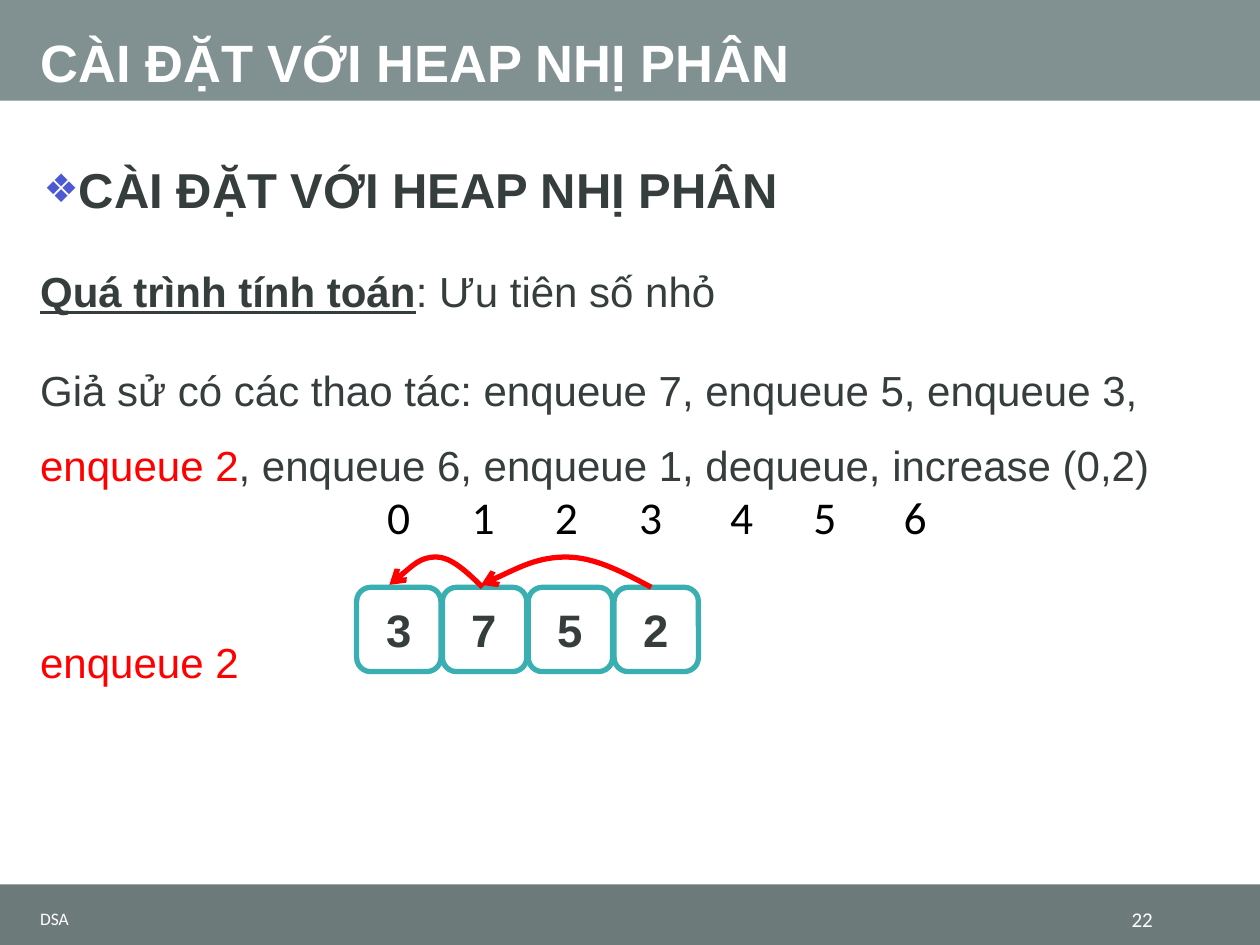
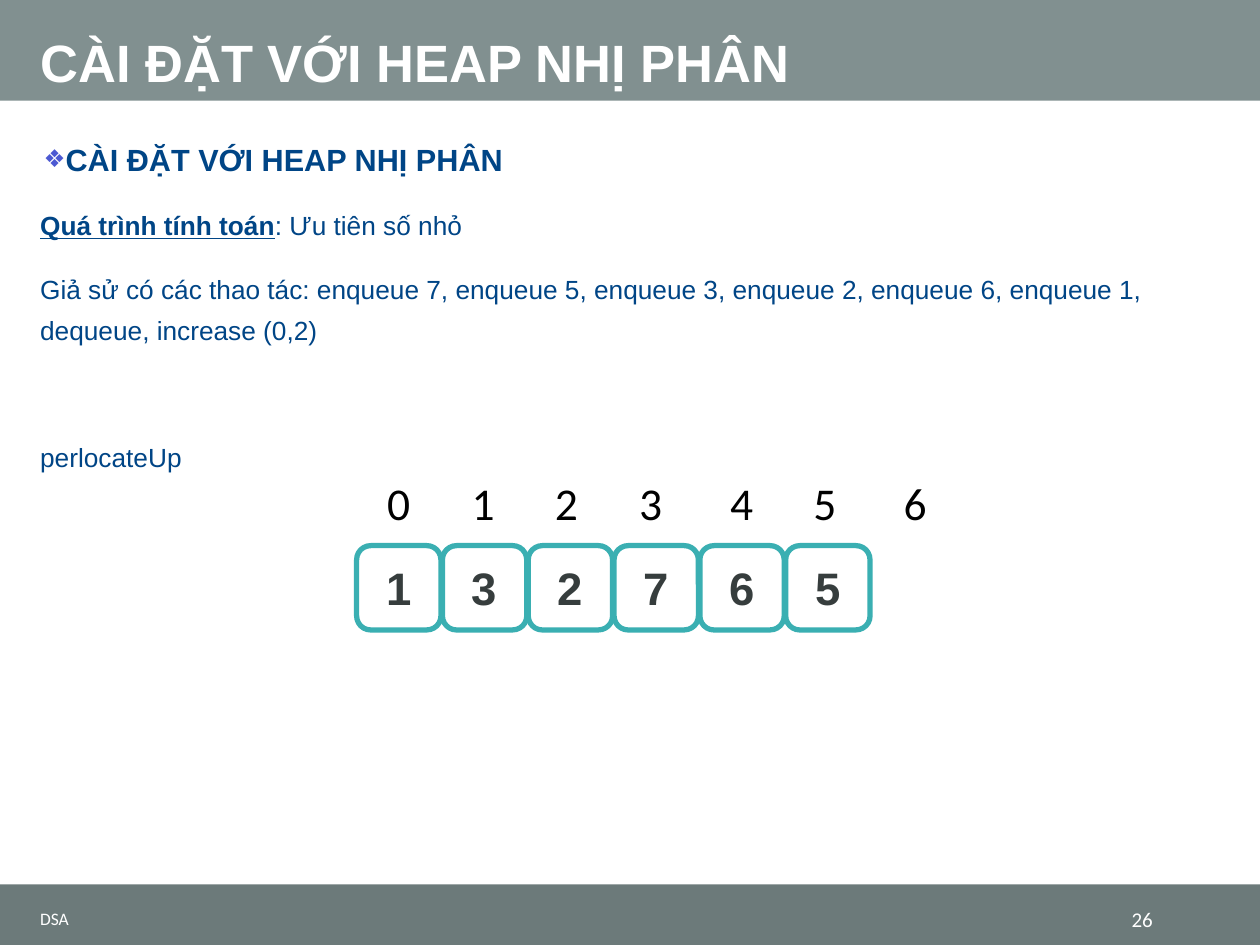
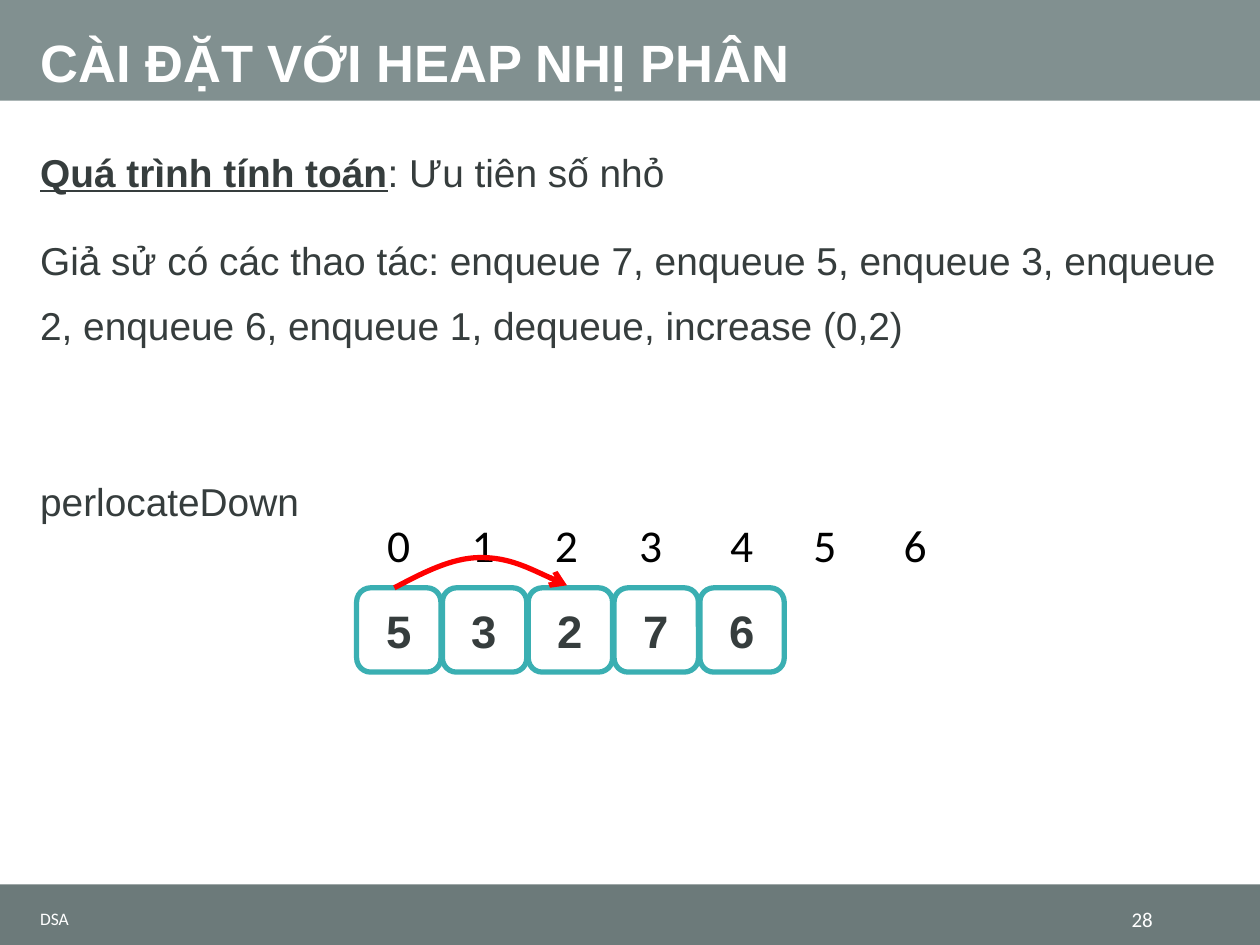
from dataclasses import dataclass

from lxml import etree
from pptx import Presentation
from pptx.dml.color import RGBColor
from pptx.enum.shapes import MSO_SHAPE
from pptx.enum.text import MSO_ANCHOR, MSO_AUTO_SIZE, PP_ALIGN
from pptx.oxml.ns import qn
from pptx.util import Cm, Pt

RECT, ROUNDED = MSO_SHAPE.RECTANGLE, MSO_SHAPE.ROUNDED_RECTANGLE
TOP, MIDDLE, BOTTOM = MSO_ANCHOR.TOP, MSO_ANCHOR.MIDDLE, MSO_ANCHOR.BOTTOM
LEFT, CENTER, RIGHT = PP_ALIGN.LEFT, PP_ALIGN.CENTER, PP_ALIGN.RIGHT
NO_AUTOFIT = MSO_AUTO_SIZE.NONE


@dataclass(frozen=True)
class Theme:
    header: str = "819090"
    footer: str = "6C7A7A"
    white: str = "FFFFFF"
    black: str = "000000"
    ink: str = "363D3D"
    blue: str = "004586"
    accent: str = "FF0000"
    cell_border: str = "3AAFB2"
    bullet: str = "4C59D2"
    text_font: str = "Arial"
    label_font: str = "Calibri"
    title_size: float = 30
    cell_size: float = 26
    course_size: float = 10
    number_size: float = 12
    line_width: float = 3
    space_before: float = 7
    space_after: float = 6


THEME = Theme()
SLIDE_WIDTH, SLIDE_HEIGHT = Cm(25.4), Cm(19.05)
MARGIN, CONTENT_WIDTH = Cm(0.56), Cm(24.31)
HEADER_HEIGHT, FOOTER_TOP = Cm(2.03), Cm(17.83)
ROW_LEFT, CELL_SIDE, CELL_PITCH = Cm(7.19), Cm(1.7), Cm(1.73)
INDEX_OFFSETS = (0, 1.7, 3.38, 5.08, 6.91, 8.59, 10.41)
ARC_HEIGHT, ARC_TIP_LIFT = Cm(0.61), Cm(0.05)

TITLE = "CÀI ĐẶT VỚI HEAP NHỊ PHÂN"
INTRO = "Giả sử có các thao tác: enqueue 7, enqueue 5, enqueue 3, "
REST = ", enqueue 6, enqueue 1, dequeue, increase (0,2)"


def rgb(value):
    return RGBColor.from_string(value)


def style_font(font, name, size, color, bold=False):
    font.name = name
    font.size = Pt(size)
    font.color.rgb = rgb(color)
    font.bold = bold


def write_line(shape, text, name, size, color, align=LEFT, anchor=TOP, bold=False):
    frame = shape.text_frame
    frame.word_wrap = True
    frame.auto_size = NO_AUTOFIT
    frame.vertical_anchor = anchor
    line = frame.paragraphs[0]
    line.text = text
    line.alignment = align
    style_font(line.font, name, size, color, bold)
    return line


def add_bands(slide, layout):
    bands = ((0, HEADER_HEIGHT, THEME.header),
             (FOOTER_TOP, SLIDE_HEIGHT - FOOTER_TOP, THEME.footer))
    for number, (top, height, color) in enumerate(bands):
        band = slide.shapes.add_shape(RECT, 0, top, SLIDE_WIDTH, height)
        band.shadow.inherit = False
        band.fill.solid()
        band.fill.fore_color.rgb = rgb(color)
        band.line.fill.background()
        band.element.nvSpPr.cNvPr.set("id", str(100 + number))
        layout.shapes.element.insert(2 + number, band.element)


def add_title(slide):
    title = slide.shapes.title
    title.left, title.top = MARGIN, 0
    title.width, title.height = CONTENT_WIDTH, HEADER_HEIGHT
    line = write_line(title, TITLE, THEME.text_font, THEME.title_size,
                      THEME.white, anchor=BOTTOM, bold=True)
    line.line_spacing = 0.9


def add_footer(slide, page):
    top, height = Cm(18.19), Cm(0.66)
    course = slide.shapes.add_textbox(MARGIN, top, Cm(17.65), height)
    write_line(course, "DSA", THEME.label_font, THEME.course_size,
               THEME.white, anchor=MIDDLE)
    number = slide.shapes.add_textbox(Cm(21.51), top, Cm(1.98), height)
    write_line(number, str(page), THEME.label_font, THEME.number_size,
               THEME.white, RIGHT, MIDDLE)


def add_bullet(paragraph):
    properties = paragraph._p.get_or_add_pPr()
    properties.set("marL", str(Cm(0.43)))
    properties.set("indent", str(-Cm(0.36)))
    color = etree.SubElement(properties, qn("a:buClr"))
    etree.SubElement(color, qn("a:srgbClr"), val=THEME.bullet)
    etree.SubElement(properties, qn("a:buSzPct"), val="80000")
    etree.SubElement(properties, qn("a:buFont"), typeface=THEME.text_font)
    etree.SubElement(properties, qn("a:buChar"), char="❖")


def add_explanation(slide, box, size, spacing, color, operations, step,
                    step_color, heading_size=None):
    frame = slide.shapes.add_textbox(*box).text_frame
    frame.word_wrap = True
    frame.auto_size = NO_AUTOFIT
    unused = [frame.paragraphs[0]]

    def paragraph(text_size, text_color, bold=False, bulleted=False):
        added = unused.pop() if unused else frame.add_paragraph()
        added.line_spacing = spacing
        added.space_before = Pt(THEME.space_before)
        added.space_after = Pt(THEME.space_after)
        if bulleted:
            add_bullet(added)
        style_font(added.font, THEME.text_font, text_size, text_color, bold)
        return added

    if heading_size:
        paragraph(heading_size, color, True, True).add_run().text = TITLE

    process = paragraph(size, color)
    term = process.add_run()
    term.text = "Quá trình tính toán"
    term.font.bold = True
    term.font.underline = True
    process.add_run().text = ": Ưu tiên số nhỏ"

    sequence = paragraph(size, color)
    for text, run_color in operations:
        operation = sequence.add_run()
        operation.text = text
        if run_color:
            operation.font.color.rgb = rgb(run_color)

    current_step = paragraph(size, step_color)
    current_step.add_run().text = step
    skipped_line = 1.2 * size * spacing
    current_step.space_before = Pt(
        round(2 * THEME.space_before + THEME.space_after + skipped_line, 1))


def add_indices(slide, left, top):
    for index, offset in enumerate(INDEX_OFFSETS):
        label = slide.shapes.add_textbox(left + Cm(offset), top, CELL_SIDE, Cm(1.37))
        write_line(label, str(index), THEME.label_font, THEME.cell_size,
                   THEME.black, CENTER)


def add_cells(slide, left, top, values):
    for position, value in enumerate(values):
        cell = slide.shapes.add_shape(
            ROUNDED, left + position * CELL_PITCH, top, CELL_SIDE, CELL_SIDE)
        cell.shadow.inherit = False
        cell.fill.solid()
        cell.fill.fore_color.rgb = rgb(THEME.white)
        cell.line.color.rgb = rgb(THEME.cell_border)
        cell.line.width = Pt(THEME.line_width)
        write_line(cell, str(value), THEME.text_font, THEME.cell_size,
                   THEME.ink, CENTER, MIDDLE, True)


def add_arc(slide, start, end, base):
    span, crest = end - start, base - ARC_HEIGHT
    shoulder = base - ARC_HEIGHT // 2
    heights = (shoulder, crest, crest, crest, shoulder, base - ARC_TIP_LIFT)
    points = [(start + span * step // 6, y) for step, y in enumerate(heights, 1)]
    builder = slide.shapes.build_freeform(start, base)
    builder.add_line_segments(points, close=False)
    arc = builder.convert_to_shape()
    segments = list(arc.element.iter(qn("a:lnTo")))
    for first in range(0, len(segments), 3):
        curve = etree.SubElement(segments[first].getparent(), qn("a:cubicBezTo"))
        for segment in segments[first:first + 3]:
            curve.append(segment[0])
            segment.getparent().remove(segment)
    arc.shadow.inherit = False
    arc.fill.background()
    arc.line.color.rgb = rgb(THEME.accent)
    arc.line.width = Pt(THEME.line_width)
    etree.SubElement(arc.line._get_or_add_ln(), qn("a:tailEnd"), type="arrow")


def add_heap_array(slide, left, index_top, cell_top, values, moves=()):
    add_indices(slide, left, index_top)
    add_cells(slide, left, cell_top, values)
    for start, end in moves:
        add_arc(slide, left + Cm(start), left + Cm(end), cell_top)


def add_heap_slide(prs, layout, page, explanation, array):
    slide = prs.slides.add_slide(layout)
    add_title(slide)
    add_heap_array(slide, ROW_LEFT, **array)
    add_explanation(slide, **explanation)
    add_footer(slide, page)
    return slide


def body_box(height):
    return MARGIN, Cm(2.49), CONTENT_WIDTH, Cm(height)


def main():
    prs = Presentation()
    prs.slide_width, prs.slide_height = SLIDE_WIDTH, SLIDE_HEIGHT
    layout = prs.slide_layouts[5]
    plain_operations = [(INTRO + "enqueue 2" + REST, None)]

    enqueue_slide = add_heap_slide(
        prs, layout, 22,
        dict(box=body_box(15.37), size=24, spacing=1.5, color=THEME.ink,
             operations=[(INTRO, None), ("enqueue 2", THEME.accent), (REST, None)],
             step="enqueue 2", step_color=THEME.accent, heading_size=28),
        dict(index_top=Cm(9.73), cell_top=Cm(11.84), values=(3, 7, 5, 2),
             moves=((5.94, 2.51), (2.54, 0.66))))
    add_bands(enqueue_slide, layout)

    add_heap_slide(
        prs, layout, 26,
        dict(box=body_box(8.08), size=15, spacing=1.3, color=THEME.blue,
             operations=plain_operations, step="perlocateUp",
             step_color=THEME.blue, heading_size=17.5),
        dict(index_top=Cm(9.45), cell_top=Cm(11), values=(1, 3, 2, 7, 6, 5)))

    add_heap_slide(
        prs, layout, 28,
        dict(box=body_box(8.53), size=22.2, spacing=1.4, color=THEME.ink,
             operations=plain_operations, step="perlocateDown",
             step_color=THEME.ink),
        dict(index_top=Cm(10.29), cell_top=Cm(11.85), values=(5, 3, 2, 7, 6),
             moves=((0.76, 4.24),)))

    prs.save("out.pptx")


if __name__ == "__main__":
    main()
